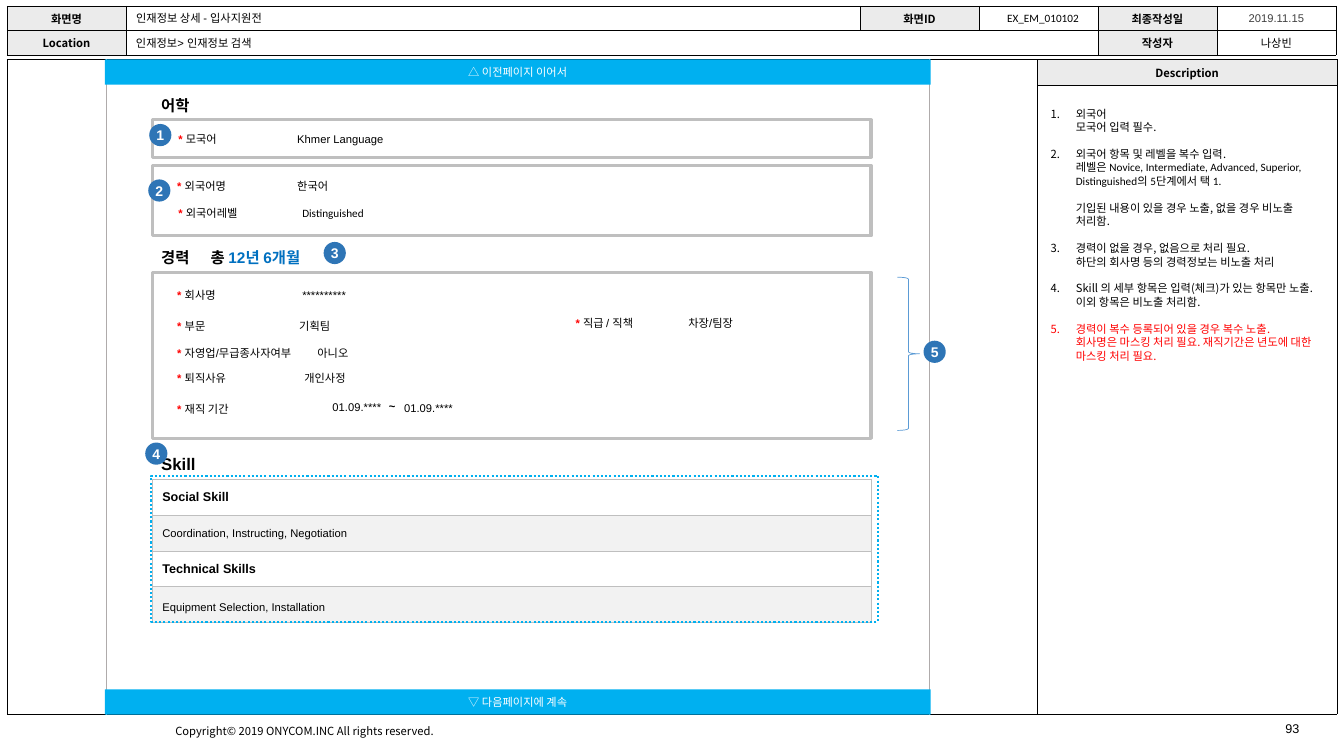
from dataclasses import dataclass

from pptx import Presentation
from pptx.dml.color import RGBColor
from pptx.enum.dml import MSO_LINE
from pptx.enum.shapes import MSO_CONNECTOR, MSO_SHAPE as Preset
from pptx.enum.text import MSO_ANCHOR as Anchor, MSO_AUTO_SIZE, PP_ALIGN as Align
from pptx.oxml.ns import qn
from pptx.oxml.xmlchemy import OxmlElement
from pptx.util import Emu, Inches, Pt

GRID = Inches(0.1)  # one column or row of the layout grid
NOTO, ARIAL, CALIBRI = "Noto Sans CJK KR", "Arial", "Calibri"
BLACK, WHITE, RED, SKY = "000000", "FFFFFF", "FF0000", "00B0F0"
GREY, SILVER, PALE = "EBEBEB", "BFBFBF", "F2F2F2"
LINE_STEP = 9.6  # points between lines of the description


@dataclass
class Style:
    size: float = 8
    font: str = ARIAL
    color: str = BLACK
    bold: bool = False


@dataclass
class Cell:
    text: str = ""
    style: Style | None = None
    fill: str = WHITE
    align: Align = Align.CENTER
    spacing: float | None = None


@dataclass
class Field:
    label: str
    value: str
    left: float
    top: float
    value_left: float = 0
    font: str = ARIAL


@dataclass
class Label:
    text: str
    left: float
    top: float
    width: float
    style: Style
    align: Align = Align.LEFT
    wrap: bool = True


@dataclass
class Remark:
    number: int | None
    lines: list[str]
    fonts: list[str]
    color: str = BLACK


def grid(*counts: float) -> list[Emu]:
    return [Emu(round(count * GRID)) for count in counts]


def rgb(code: str) -> RGBColor:
    return RGBColor.from_string(code)


def child(parent, tag: str, **attributes):
    element = OxmlElement(tag)
    for key, value in attributes.items():
        element.set(key, str(value))
    parent.append(element)
    return element


def format_run(run, style: Style) -> None:
    run.font.size, run.font.name, run.font.bold = Pt(style.size), style.font, style.bold
    run.font.color.rgb = rgb(style.color)
    child(run.font._element, "a:ea", typeface=NOTO)


def write(paragraph, *pieces: tuple[str, Style], tab: float = 0) -> None:
    """Fill a paragraph with styled pieces; tab is in grid columns."""
    if tab:
        stops = child(paragraph._p.get_or_add_pPr(), "a:tabLst")
        child(stops, "a:tab", pos=grid(tab)[0], algn="l")
    paragraph.text = pieces[0][0]
    for text, _ in pieces[1:]:
        paragraph.add_run().text = text
    for run, (_, style) in zip(paragraph.runs, pieces):
        format_run(run, style)


def add_text(slide, left: float, top: float, width: float, *pieces, tab: float = 0,
             align: Align = Align.LEFT, wrap: bool = True) -> None:
    frame = slide.shapes.add_textbox(*grid(left, top, width, 2.4)).text_frame
    frame.word_wrap = wrap
    frame.paragraphs[0].alignment = align
    write(frame.paragraphs[0], *pieces, tab=tab)


def add_field(slide, field: Field) -> None:
    tab = field.value_left and field.value_left - field.left - 1
    label = field.label + ("\t" if field.value else "")
    pieces = [("* ", Style(color=RED, bold=True)), (label, Style())]
    if field.value:
        pieces.append((field.value, Style(font=field.font)))
    add_text(slide, field.left, field.top, 36, *pieces, tab=tab)


def add_block(slide, preset: Preset, box: tuple, fill: str = "", line: str = "",
              weight: float = 1, text: str = "", style: Style | None = None):
    block = slide.shapes.add_shape(preset, *grid(*box))
    block.shadow.inherit = False
    if fill:
        block.fill.solid()
        block.fill.fore_color.rgb = rgb(fill)
    else:
        block.fill.background()
    if line:
        block.line.color.rgb, block.line.width = rgb(line), Pt(weight)
    else:
        block.line.fill.background()
    if style:
        frame = block.text_frame
        frame.margin_left = frame.margin_right = frame.margin_top = frame.margin_bottom = 0
        frame.word_wrap, frame.vertical_anchor = False, Anchor.MIDDLE
        frame.paragraphs[0].alignment = Align.CENTER
        write(frame.paragraphs[0], (text, style))
    return block


def add_rule(slide, x1: float, y1: float, x2: float, y2: float, color: str) -> None:
    rule = slide.shapes.add_connector(MSO_CONNECTOR.STRAIGHT, *grid(x1, y1, x2, y2))
    rule.line.color.rgb, rule.line.width = rgb(color), Pt(0.5)
    child(rule._element.spPr, "a:effectLst")


def add_grid_table(slide, left: float, top: float, columns: list, rows: list, cells: list,
                   border: str, weight: float, margin: float | None = 0.4):
    table = slide.shapes.add_table(len(rows), len(columns),
                                   *grid(left, top, sum(columns), sum(rows))).table
    table.first_row = table.horz_banding = False
    for column, width in zip(table.columns, grid(*columns)):
        column.width = width
    for row, height, contents in zip(table.rows, grid(*rows), cells):
        row.height = height
        for cell, content in zip(row.cells, contents):
            draw_cell(cell, content, border, weight, margin)
    return table


def draw_cell(cell, content: Cell, border: str, weight: float, margin: float | None) -> None:
    cell.vertical_anchor = Anchor.MIDDLE
    if margin is not None:
        (cell.margin_left, cell.margin_right,
         cell.margin_top, cell.margin_bottom) = grid(margin) * 4
    cell.fill.solid()
    cell.fill.fore_color.rgb = rgb(content.fill)
    properties = cell._tc.get_or_add_tcPr()
    for place, side in enumerate("LRTB"):
        edge = child(properties, f"a:ln{side}", w=Pt(weight))
        child(child(edge, "a:solidFill"), "a:srgbClr", val=border)
        properties.insert(place, edge)
    paragraph = cell.text_frame.paragraphs[0]
    if content.style:
        paragraph.alignment = content.align
        if content.spacing:
            paragraph.line_spacing = content.spacing
        write(paragraph, (content.text, content.style))
    else:
        child(paragraph._p, "a:endParaRPr", sz=800)


def place(placeholder, box: tuple):
    """Move a placeholder in front of the tables and return its text frame."""
    placeholder.left, placeholder.top, placeholder.width, placeholder.height = grid(*box)
    placeholder._element.getparent().append(placeholder._element)
    frame = placeholder.text_frame
    frame.auto_size, frame.word_wrap = MSO_AUTO_SIZE.NONE, True
    frame.vertical_anchor = Anchor.TOP
    return frame


def add_remark(paragraph, remark: Remark, first: bool) -> None:
    paragraph.alignment = Align.LEFT
    paragraph.line_spacing = Pt(LINE_STEP)
    paragraph.space_before = Pt(0 if first else LINE_STEP)
    properties = paragraph._p.get_or_add_pPr()
    properties.set("marL", str(Inches(0.25)))
    properties.set("indent", str(-Inches(0.25) if remark.number else 0))
    if remark.number:
        child(properties, "a:buFont", typeface=NOTO)
        child(properties, "a:buAutoNum", type="arabicPeriod", startAt=remark.number)
    else:
        child(properties, "a:buNone")
    paragraph.text = "\v".join(remark.lines)
    for run, font in zip(paragraph.runs, remark.fonts):
        format_run(run, Style(font=font, color=remark.color))


HEAD = Style(font=NOTO, bold=True)
HEADING = Style(11, bold=True)
HEADER = [
    [Cell("화면명", HEAD, GREY), Cell(), Cell("화면ID", HEAD, GREY), Cell(),
     Cell("최종작성일", HEAD, GREY), Cell("2019.11.15", Style(color="404040"))],
    [Cell("Location", HEAD, GREY), Cell(), Cell(), Cell(),
     Cell("작성자", HEAD, GREY), Cell("나상빈", Style())],
]
SKILLS = [("Social Skill", "Coordination, Instructing, Negotiation", None),
          ("Technical Skills", "Equipment Selection, Installation", 1.5)]
FIELDS = [
    Field("모국어", "Khmer Language", 16.7, 12.6, 29.5),
    Field("외국어명", "한국어", 16.6, 17.3, 29.5),
    Field("외국어레벨", "Distinguished", 16.7, 20, 30, CALIBRI),
    Field("회사명", "**********", 16.6, 28.1, 30),
    Field("부문", "기획팀", 16.6, 31.2, 29.7),
    Field("직급 / 직책", "차장/팀장", 56.1, 30.9, 68.3),
    Field("자영업/무급종사자여부", "아니오", 16.6, 33.9, 31.5),
    Field("퇴직사유", "개인사정", 16.6, 36.3, 30.2),
    Field("재직 기간", "", 16.6, 39.4),
]
LABELS = [
    Label("Copyright© 2019 ONYCOM.INC All rights reserved.", 16.4, 71.4, 28.7,
          Style(font=NOTO), wrap=False),
    Label("93", 126.5, 71, 5.6, Style(9)),
    Label("어학", 15, 9, 19.4, HEADING),
    Label("Skill", 15, 44.5, 22.4, Style(12, bold=True)),
    Label("01.09.****", 30.6, 39.2, 9.6, Style(), Align.CENTER),
    Label("01.09.****", 37.7, 39.3, 9.6, Style(), Align.CENTER),
    Label("~", 37.6, 39.1, 3, Style(bold=True)),
    Label("인재정보> 인재정보 검색", 12.5, 3.1, 38.1, Style()),
    Label("EX_EM_010102", 98.9, 0.6, 9.1, Style(font=CALIBRI), wrap=False),
]
REMARKS = [
    Remark(1, ["외국어", "모국어 입력 필수."], [NOTO] * 2),
    Remark(2, ["외국어 항목 및 레벨을 복수 입력.",
               "레벨은 Novice, Intermediate, Advanced, Superior, Distinguished의 5단계에서 택 1."],
           [NOTO, CALIBRI]),
    Remark(None, ["기입된 내용이 있을 경우 노출, 없을 경우 비노출 처리함."], [NOTO]),
    Remark(3, ["경력이 없을 경우, 없음으로 처리 필요.",
               "하단의 회사명 등의 경력정보는 비노출 처리"], [NOTO] * 2),
    Remark(4, ["Skill 의 세부 항목은 입력(체크)가 있는 항목만 노출. 이외 항목은 비노출 처리함."], [NOTO]),
    Remark(5, ["경력이 복수 등록되어 있을 경우 복수 노출.",
               "회사명은 마스킹 처리 필요. 재직기간은 년도에 대한 마스킹 처리 필요."], [NOTO] * 2, RED),
]
BANNERS = [("△ 이전페이지 이어서", 5.9), ("▽ 다음페이지에 계속", 68.4)]
PANELS = [(27, 16.5), (11.9, 3.7), (16.4, 7)]
BADGES = [(14.8, 12.3), (14.7, 17.8), (32.1, 24), (14.4, 43.9), (91.6, 33.8)]


def main() -> None:
    deck = Presentation()
    deck.slide_width, deck.slide_height = Inches(13.33), Inches(7.5)
    slide = deck.slides.add_slide(deck.slide_layouts[1])
    title, description = slide.placeholders

    add_rule(slide, 4.1, 70.7, 129.3, 70.7, "D0CECE")
    frame = add_grid_table(slide, 0.7, 5.9, [102.2, 29.7], [2.5, 62.4],
                           [[Cell(), Cell("Description", HEAD, GREY)], [Cell(), Cell()]],
                           BLACK, 0.25)
    frame.cell(0, 0).merge(frame.cell(1, 0))
    header = add_grid_table(slide, 0.7, 0.6, [11.8, 72.8] + [11.8] * 4, [2.4] * 2,
                            HEADER, BLACK, 0.25)
    header.cell(1, 1).merge(header.cell(1, 3))
    for edge in (10.5, 92.2):
        add_rule(slide, edge, 5.9, edge, 70.9, "AFABAB")

    for top, height in PANELS:
        add_block(slide, Preset.RECTANGLE, (15.1, top, 71.3, height), WHITE, SILVER, 2.25)
    for text, top in BANNERS:
        add_block(slide, Preset.RECTANGLE, (10.4, top, 81.9, 2.5), SKY, text=text,
                  style=Style(font=CALIBRI, color=WHITE))
    skill_rows = []
    for name, details, spacing in SKILLS:
        skill_rows.append([Cell(name, Style(9, bold=True), align=Align.LEFT)])
        skill_rows.append([Cell(details, Style(), PALE, Align.LEFT, spacing)])
    add_grid_table(slide, 15.1, 47.6, [71.3], [3.53] * 4, skill_rows, SILVER, 0.5, None)

    for field in FIELDS:
        add_field(slide, field)
    add_text(slide, 15, 24.1, 22.9, ("경력\t총 ", HEADING),
             ("12년 6개월", Style(11, color="0070C0", bold=True)), tab=4.9)
    for label in LABELS:
        add_text(slide, label.left, label.top, label.width, (label.text, label.style),
                 align=label.align, wrap=label.wrap)

    outline = add_block(slide, Preset.RECTANGLE, (15, 47.2, 72.1, 14.5), line=SKY, weight=1.5)
    outline.line.dash_style = MSO_LINE.ROUND_DOT
    add_block(slide, Preset.RIGHT_BRACE, (89, 27.5, 2.2, 15.2), line="5B9BD5", weight=0.5)
    for number, (left, top) in enumerate(BADGES, 1):
        add_block(slide, Preset.OVAL, (left, top, 2.2, 2.2), "2E75B6", text=str(number),
                  style=Style(10, color=WHITE, bold=True))

    heading = place(title, (12.5, 0.6, 38.1, 2.4)).paragraphs[0]
    heading.alignment = Align.LEFT
    write(heading, ("인재정보 상세 - 입사지원전", Style()))
    notes = place(description, (103.4, 10.2, 28.5, 30))
    notes.margin_left, notes.margin_right, notes.margin_top = grid(0.8, 0.4, 0.4)
    for index, remark in enumerate(REMARKS):
        paragraph = notes.add_paragraph() if index else notes.paragraphs[0]
        add_remark(paragraph, remark, first=index == 0)

    deck.save("out.pptx")


if __name__ == "__main__":
    main()
